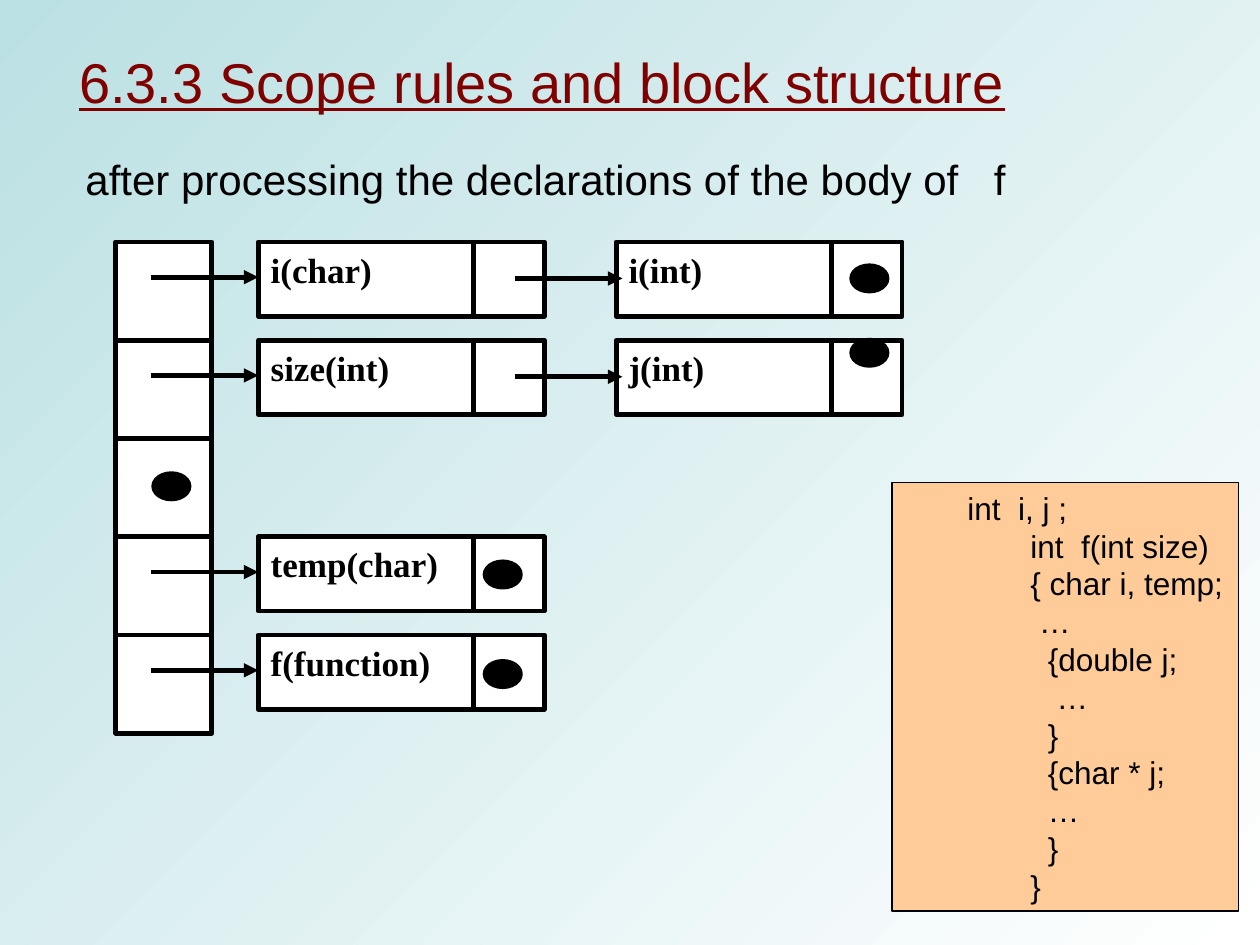
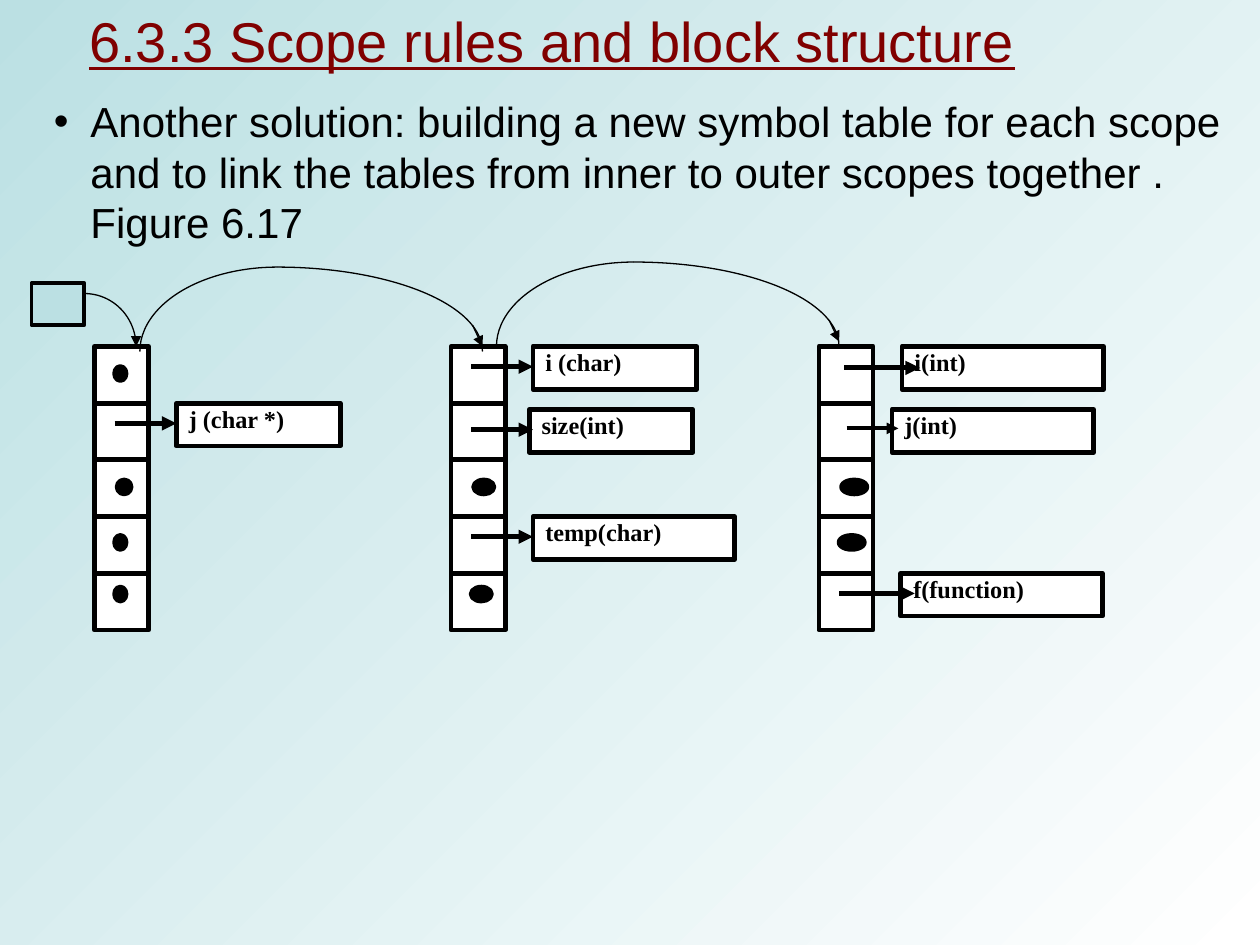
"""Build two slides on scope rules and symbol tables."""
from dataclasses import dataclass

from lxml import etree
from pptx import Presentation
from pptx import util as u
from pptx.dml.color import RGBColor
from pptx.enum import shapes, text
from pptx.oxml import ns

Inches, Pt = u.Inches, u.Pt
Kind = shapes.MSO_SHAPE
Align = text.PP_ALIGN


@dataclass(frozen=True)
class Theme:
    sans: str = "Arial"
    serif: str = "Times New Roman"
    black: str = "000000"
    white: str = "FFFFFF"
    mist: str = "BBE0E3"
    peach: str = "FFCC99"
    wine: str = "800000"
    head: float = 32
    body: float = 24
    code: float = 18
    label: float = 20
    small: float = 13.9
    thick: float = 2.75
    mid: float = 2.25
    thin: float = 0.75
    pitch: float = 1.2


class Deck:
    def __init__(self, theme):
        self.theme = theme
        self.prs = Presentation()
        self.prs.slide_width, self.prs.slide_height = Inches(10), Inches(7.5)
        self.slide = None

    def page(self):
        self.slide = self.prs.slides.add_slide(self.prs.slide_layouts[6])
        fill = self.slide.background.fill
        fill.gradient()
        fill.gradient_angle = 315
        for stop, tone in zip(fill.gradient_stops, (self.theme.mist, self.theme.white)):
            stop.color.rgb = RGBColor.from_string(tone)

    def node(self, parent, tag, **attrs):
        return etree.SubElement(parent, ns.qn(tag), attrs)

    def font(self, para, size, face=None, tone=None, bold=None, under=None):
        font = para.font
        font.size, font.name = Pt(size), face or self.theme.sans
        font.color.rgb = RGBColor.from_string(tone or self.theme.black)
        font.bold, font.underline = bold, under

    def text(self, x, y, w, h, words, wrap=True):
        frame = self.slide.shapes.add_textbox(*map(Inches, (x, y, w, h))).text_frame
        frame.word_wrap = wrap
        if wrap:
            frame.vertical_anchor = text.MSO_ANCHOR.MIDDLE
        para = frame.paragraphs[0]
        para.text = words
        return para

    def title(self, x, y):
        para = self.text(x, y, 7.55, 0.64, "6.3.3 Scope rules and block structure", False)
        self.font(para, self.theme.head, tone=self.theme.wine, under=True)

    def lead(self, x, y, w, h, words, tab):
        para = self.text(x, y, w, h, words)
        tabs = self.node(para._p.get_or_add_pPr(), "a:tabLst")
        self.node(tabs, "a:tab", pos=str(Inches(tab)), algn="l")
        self.font(para, self.theme.body)

    def bullet(self, x, y, w, h, words, hang):
        para = self.text(x, y, w, h, words)
        props = para._p.get_or_add_pPr()
        props.set("marL", str(Inches(hang)))
        props.set("indent", str(-Inches(hang)))
        self.node(props, "a:buFont", typeface=self.theme.sans)
        self.node(props, "a:buChar", char="•")
        para.line_spacing = Pt(self.theme.body * self.theme.pitch)
        self.font(para, self.theme.body)

    def shape(self, x, y, w, h, kind=Kind.RECTANGLE, fill=None, line=None):
        shape = self.slide.shapes.add_shape(kind, *map(Inches, (x, y, w, h)))
        shape.shadow.inherit = False
        if fill:
            shape.fill.solid()
            shape.fill.fore_color.rgb = RGBColor.from_string(fill)
        else:
            shape.fill.background()
        shape.line.color.rgb = RGBColor.from_string(self.theme.black)
        shape.line.width = Pt(line or self.theme.thick)
        return shape

    def stack(self, x, y, w, h, step, count=5):
        for row in range(count):
            self.shape(x, y + row * step, w, h, fill=self.theme.white)

    def label(self, x, y, w, h, words, size, space=None):
        frame = self.shape(x, y, w, h, fill=self.theme.white).text_frame
        frame.word_wrap = True
        frame.vertical_anchor = text.MSO_ANCHOR.TOP
        para = frame.paragraphs[0]
        para.text, para.alignment, para.line_spacing = words, Align.JUSTIFY, space
        self.font(para, size, self.theme.serif, bold=True)

    def dot(self, x, y, w, h):
        self.shape(x, y, w, h, Kind.OVAL, self.theme.black)

    def line(self, x, y, end, base, width=None, arrow=True):
        line = self.slide.shapes.add_connector(
            shapes.MSO_CONNECTOR.STRAIGHT, *map(Inches, (x, y, end, base)))
        line.line.color.rgb = RGBColor.from_string(self.theme.black)
        line.line.width = Pt(width or self.theme.thick)
        if arrow:
            self.node(line.line._get_or_add_ln(), "a:tailEnd", type="triangle")
        self.node(line._element.spPr, "a:effectLst")

    def arc(self, x, y, rx, ry, start):
        curve = self.shape(x - rx, y - ry, 2 * rx, 2 * ry, Kind.ARC, line=self.theme.thin)
        for slot, angle in enumerate((start, (start + 90) % 360)):
            curve.adjustments[slot] = angle * 0.6

    def code(self, x, y, w, h, rows):
        box = self.shape(x, y, w, h, fill=self.theme.peach, line=self.theme.thin)
        frame = box.text_frame
        frame.word_wrap = True
        frame.vertical_anchor = text.MSO_ANCHOR.TOP
        for row, words in enumerate(rows):
            para = frame.add_paragraph() if row else frame.paragraphs[0]
            para.text, para.alignment = words, Align.LEFT
            para._p.get_or_add_pPr().set("marL", str(Inches(1 if row else 0.5)))
            para.line_spacing = Pt(self.theme.code * self.theme.pitch)
            self.font(para, self.theme.code)


CODE = ["int  i, j ;", "int  f(int size)", "{ char i, temp;", " …", "  {double j;",
        "   …", "  }", "  {char * j;", "  …", "  }", "}"]

CHAINS = [(0, ["i(char)", "i(int)"]), (1, ["size(int)", "j(int)"]),
          (3, ["temp(char)"]), (4, ["f(function)"])]

SCOPES = [
    (0.75, [(1.4, 3.2, 1.3, "j (char *)")],
     [(0.91, 3.36, 1.4)],
     [(0.91, 2.91, 0.09), (0.93, 3.81, 0.11), (0.91, 4.25, 0.09), (0.91, 4.66, 0.09)]),
    (3.58, [(4.23, 2.75, 1.3, "i (char)"), (4.2, 3.25, 1.3, "size(int)"),
            (4.23, 4.1, 1.6, "temp(char)")],
     [(3.74, y, 4.23) for y in (2.91, 3.41, 4.26)],
     [(3.76, 3.81, 0.16), (3.74, 4.66, 0.16)]),
    (6.5, [(7.16, 2.75, 1.6, "i(int)"), (7.08, 3.25, 1.6, "j(int)"),
           (7.15, 4.55, 1.6, "f(function)")],
     [(6.7, 2.92, 7.3), (6.72, 3.4, 7.13), (6.66, 4.71, 7.26)],
     [(6.68, 3.81, 0.2), (6.66, 4.25, 0.2)]),
]


def chained(deck):
    top, step, wide, gap = 1.92, 0.78, 2.27, 2.84
    deck.page()
    deck.lead(0.58, 1.08, 7.58, 0.67,
              "after processing the declarations of the body of\tf", 7.21)
    deck.stack(0.92, top, 0.76, step, step)
    for row, names in CHAINS:
        y = top + row * step
        for col, name in enumerate(names):
            x = 2.05 + col * gap
            deck.label(x, y, wide, 0.59, name, deck.theme.label)
            deck.line(x + 1.71, y, x + 1.71, y + 0.59, arrow=False)
        deck.line(1.2, y + 0.28, 2.05, y + 0.28)
        if len(names) > 1:
            deck.line(4.09, y + 0.29, 4.94, y + 0.29)
    for x, y in [(6.76, 2.11), (6.76, 2.7), (1.22, 3.76), (3.85, 4.46), (3.85, 5.25)]:
        deck.dot(x, y, 0.28, 0.2)
    deck.title(0.53, 0.33)
    deck.code(7.08, 3.83, 2.75, 3.4, CODE)


def linked(deck):
    theme = deck.theme
    deck.page()
    deck.title(0.61, 0)
    deck.bullet(0.33, 0.67, 9.67, 1.38,
                "Another solution: building a new symbol table for each scope and to link "
                "the tables from inner to outer scopes together .\vFigure 6.17", 0.29)
    for left, labels, arrows, dots in SCOPES:
        deck.stack(left, 2.75, 0.43, 0.45, 0.45)
        for x, y, w, name in labels:
            deck.label(x, y, w, 0.34, name, theme.small, 0.8)
        for x, y, end in arrows:
            deck.line(x, y, end, y, theme.mid if x == 6.72 else None)
        for x, y, w in dots:
            deck.dot(x, y, w, 0.11)
    deck.shape(0.25, 2.25, 0.42, 0.33, fill=theme.mist, line=theme.mid)
    deck.arc(0.67, 2.75, 0.41, 0.42, 270)
    deck.line(1.08, 2.67, 1.08, 2.75, theme.thin)
    for x, y, tip in [(2.2, 2.79, 2.75), (5.03, 2.75, 2.71)]:
        deck.arc(x, y, 1.09, 0.67, 180)
        deck.arc(x, y, 1.63, 0.67, 270)
        deck.line(x + 1.55, tip - 0.17, x + 1.63, tip, theme.thin)


def main():
    deck = Deck(Theme())
    chained(deck)
    linked(deck)
    deck.prs.save("out.pptx")


if __name__ == "__main__":
    main()
